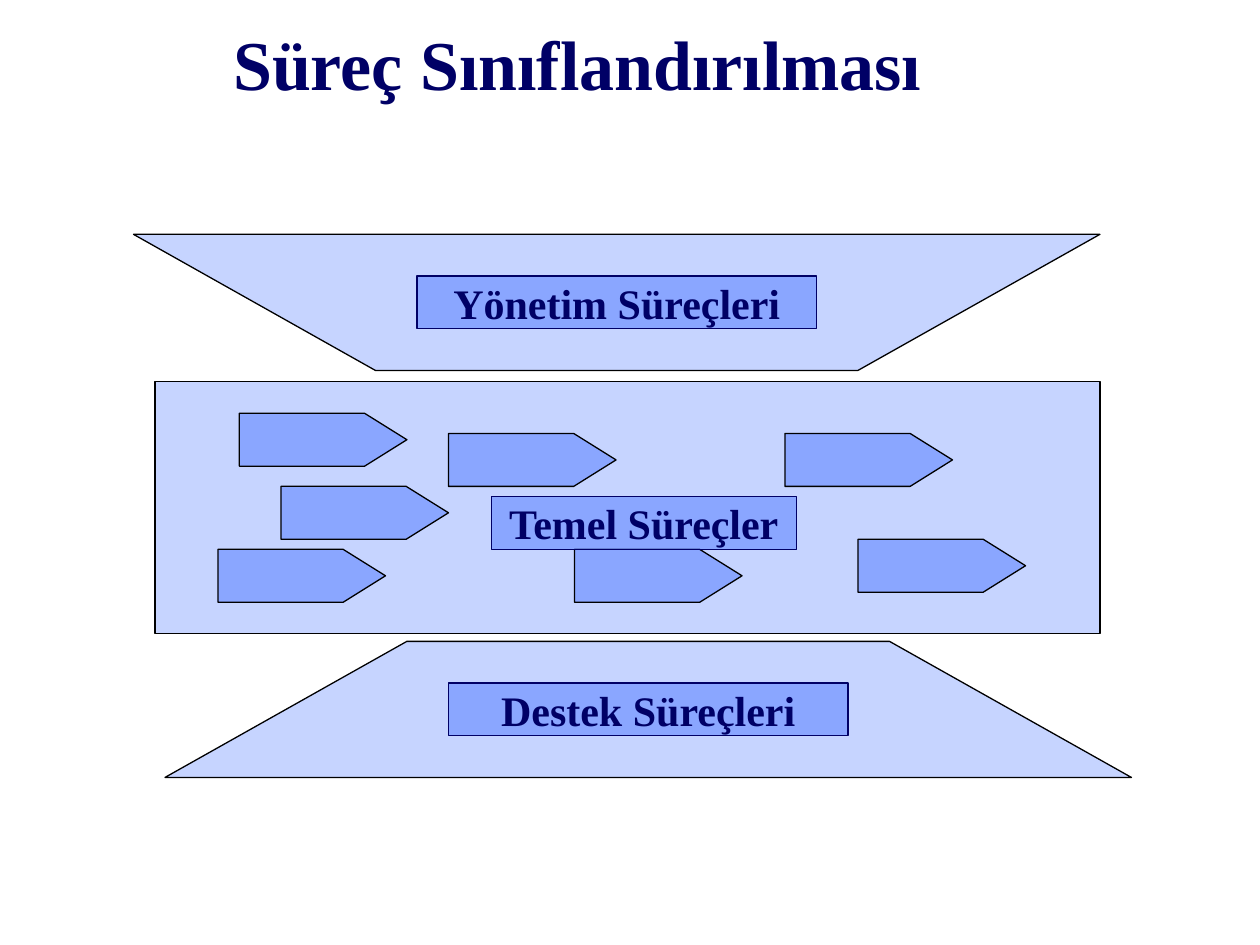
from pptx import Presentation
from pptx.dml.color import RGBColor as Color
from pptx.enum.shapes import MSO_SHAPE as Shape
from pptx.enum.text import MSO_ANCHOR as Anchor, PP_ALIGN as Align
from pptx.oxml.ns import qn
from pptx.util import Inches, Pt
from lxml.etree import SubElement

THEME = {
    "font": "Times New Roman", "ink": "000066", "edge": "000000",
    "pale": "8FAAFF", "deep": "4F79FF", "alpha": 50,
    "title": 40, "label": 24, "line": 0.75,
}
TITLE = "Süreç Sınıflandırılması"
TOP = (1.06, 1.86)
CORE = (1.23, 3.03, 7.5, 2)
BASE = (1.31, 5.09)
WIDE, TALL, SLANT = 7.67, 1.08, 1.92
STEP_W, STEP_H = 1.33, 0.42
STEPS = [(1.9, 3.28), (1.73, 4.36), (3.56, 3.44), (4.56, 4.36),
         (6.23, 3.44), (6.81, 4.28), (2.23, 3.86)]
LABELS = {
    "top": ("Yönetim Süreçleri", 3.31, 2.19, 3.17),
    "core": ("Temel Süreçler", 3.9, 3.94, 2.42),
    "base": ("Destek Süreçleri", 3.56, 5.42, 3.17),
}


def paint(shape, fill, line):
    shape.shadow.inherit = False
    shape.fill.solid()
    shape.fill.fore_color.rgb = Color.from_string(THEME[fill])
    tint = shape.fill._xPr.find(qn("a:solidFill"))[0]
    SubElement(tint, qn("a:alpha"), val=str(THEME["alpha"] * 1000))
    shape.line.color.rgb = Color.from_string(THEME[line])
    shape.line.width = Pt(THEME["line"])


def write(shape, text, size, align):
    frame = shape.text_frame
    frame.text = text
    frame.vertical_anchor = Anchor.MIDDLE
    para = frame.paragraphs[0]
    para.alignment = align
    font = para.font
    font.name, font.size, font.bold = THEME["font"], Pt(THEME[size]), True
    font.color.rgb = Color.from_string(THEME["ink"])
    return frame


def block(slide, kind, box, fill, line):
    shape = slide.shapes.add_shape(kind, *map(Inches, box))
    paint(shape, fill, line)
    return shape


def funnel(slide, spot, flip):
    left, top = spot
    long_y, short_y = (top + TALL, top) if flip else (top, top + TALL)
    points = [(left, long_y), (left + SLANT, short_y),
              (left + WIDE - SLANT, short_y), (left + WIDE, long_y)]
    start, *rest = [(Inches(x), Inches(y)) for x, y in points]
    path = slide.shapes.build_freeform(*start)
    path.add_line_segments(rest, close=True)
    paint(path.convert_to_shape(), "pale", "edge")


def label(slide, name):
    text, left, top, width = LABELS[name]
    shape = block(slide, Shape.RECTANGLE, (left, top, width, STEP_H), "deep", "ink")
    write(shape, text, "label", Align.CENTER).word_wrap = False


def main():
    deck = Presentation()
    deck.slide_width, deck.slide_height = Inches(10), Inches(7.5)
    slide = deck.slides.add_slide(deck.slide_layouts[5])

    title = slide.shapes.title
    title.left, title.top = Inches(1.75), Inches(0.08)
    title.width, title.height = Inches(7.67), Inches(0.83)
    write(title, TITLE, "title", Align.LEFT)

    funnel(slide, TOP, False)
    label(slide, "top")
    block(slide, Shape.RECTANGLE, CORE, "pale", "edge")
    for spot in STEPS:
        step = block(slide, Shape.PENTAGON, (*spot, STEP_W, STEP_H), "deep", "edge")
        step.adjustments[0] = 0.8
    label(slide, "core")
    funnel(slide, BASE, True)
    label(slide, "base")

    deck.save("out.pptx")


if __name__ == "__main__":
    main()
